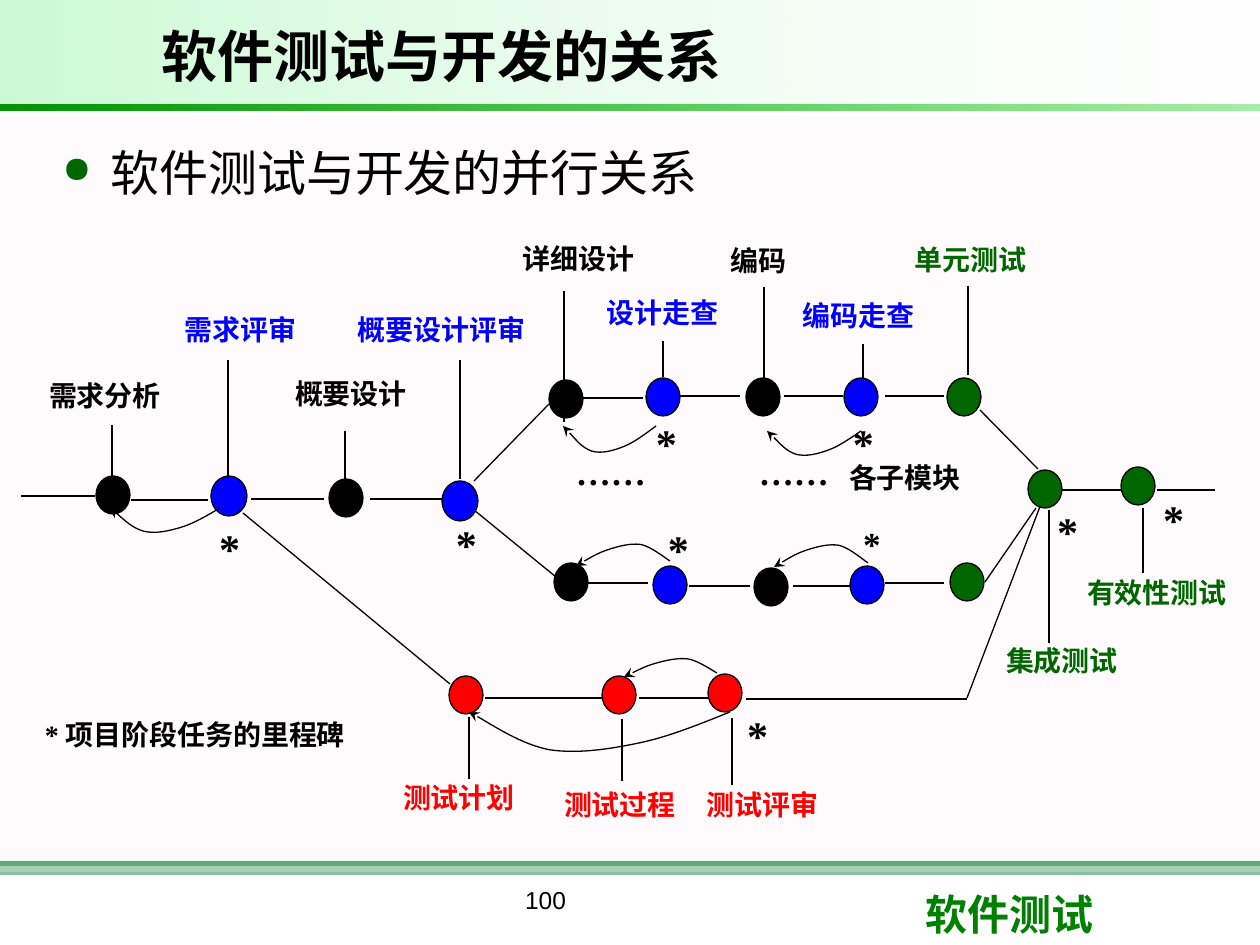
import pptx
import pptx.dml.color
import pptx.enum.shapes
import pptx.enum.text
import pptx.oxml.ns
import pptx.oxml.xmlchemy
import pptx.util

PX = 914400 / 126
COLORS = {
    "black": "000000", "blue": "0000FF", "green": "006600", "red": "FF0000",
    "footer": "008000", "edge": "339966", "panel": "FFF0F5", "white": "FFFFFF",
    "mint": "09E733", "bar_dark": "009200", "bar_light": "00CC00",
}
ALIGN = pptx.enum.text.PP_ALIGN
SHAPE = pptx.enum.shapes.MSO_SHAPE
LABEL = {"name": "Times New Roman", "size": 16, "bold": True}
STAR_SIZE = 24

# Shape of every feedback arc: share of the way along, share of the depth
ARC = [(0, 0), (.12, .3), (.24, .6), (.35, .74), (.46, .88), (.58, 1),
       (.69, .9), (.8, .77), (.95, .15), (1, 0)]

NODES = {
    "black": [(113, 495), (346, 498), (566, 399), (763, 397), (571, 582), (771, 587)],
    "blue": [(229, 496), (460, 501), (663, 397), (861, 397), (670, 585), (867, 585)],
    "green": [(964, 397), (967, 582), (1045, 489), (1138, 486)],
    "red": [(466, 695), (619, 695), (725, 693)],
}
REVIEW_NODES = NODES["blue"][:2]  # slightly larger than the others

HORIZONTALS = [  # x1, x2, y
    (21, 95, 496), (131, 208, 500), (251, 324, 499), (370, 444, 499),
    (581, 643, 398), (680, 740, 396), (784, 843, 396), (885, 944, 396),
    (586, 648, 583), (689, 750, 586), (793, 852, 586), (885, 944, 583),
    (1061, 1123, 490), (1157, 1215, 490),
    (485, 604, 698), (639, 709, 698), (746, 967, 699),
]
VERTICALS = [  # x, y1, y2
    (112, 425, 479), (228, 360, 479), (345, 431, 481), (460, 360, 479),
    (564, 291, 422), (663, 341, 377), (764, 287, 378), (863, 344, 379),
    (968, 286, 375), (1049, 510, 643), (1143, 508, 573),
    (469, 717, 779), (622, 719, 781), (732, 718, 785),
]
DIAGONALS = [
    (474, 481, 549, 404), (474, 510, 556, 577), (980, 410, 1038, 469),
    (985, 582, 1036, 508), (243, 513, 450, 684), (967, 698, 1041, 504),
]
ARCS = [  # tail x, y, tip x, y, depth (negative bulges upward)
    (656, 426, 563, 426, 28), (861, 431, 767, 431, 26),
    (730, 712, 469, 712, 42), (220, 508, 110, 508, 26),
    (670, 561, 576, 566, -20), (868, 563, 774, 567, -21),
    (717, 673, 624, 677, -17),
]
LABELS = {
    "black": [("需求分析", 49, 379), ("概要设计", 295, 377), ("详细设计", 523, 242),
              ("编码", 731, 244), ("各子模块", 849, 461)],
    "blue": [("需求评审", 185, 312), ("概要设计评审", 358, 312),
             ("设计走查", 607, 296), ("编码走查", 803, 299)],
    "green": [("单元测试", 915, 243), ("有效性测试", 1087, 576), ("集成测试", 1006, 644)],
    "red": [("测试计划", 403, 781), ("测试过程", 564, 788), ("测试评审", 707, 788)],
}
STARS = [(656, 418), (456, 519), (219, 522), (853, 418), (668, 523),
         (747, 709), (1057, 505), (1163, 494)]


def px(*lengths):
    return [round(n * PX) for n in lengths]


def rgb(color):
    return pptx.dml.color.RGBColor.from_string(COLORS[color])


def add_xml(parent, tag, **attributes):
    child = pptx.oxml.xmlchemy.OxmlElement(tag)
    for name, value in attributes.items():
        child.set(name, str(value))
    parent.append(child)
    return child


def write(tf, text, fmt, color="black", align=ALIGN.LEFT):
    p = tf.paragraphs[0]
    p.alignment = align
    r = p.add_run()
    r.text = text
    for name, value in fmt.items():
        setattr(r.font, name, pptx.util.Pt(value) if name == "size" else value)
    r.font.color.rgb = rgb(color)
    return p


def add_text(slide, box, text, fmt, color="black", align=ALIGN.LEFT, inset=True):
    tf = slide.shapes.add_textbox(*px(*box)).text_frame
    tf.word_wrap = True
    if not inset:
        for side in ("left", "top", "right", "bottom"):
            setattr(tf, f"margin_{side}", 0)
    return write(tf, text, fmt, color, align)


def add_label(slide, text, x, y, color="black", size=16, width=None):
    width = width or round(len(text) * size * 1.75) + 8
    add_text(slide, (x, y, width, 44), text, {**LABEL, "size": size}, color,
             ALIGN.JUSTIFY, inset=False)


def add_band(slide, top, height, *stops):
    """Full-width band; each stop is (colour, opacity in percent)."""
    sp = slide.shapes.add_shape(SHAPE.RECTANGLE, *px(0, top, 1260, height))
    sp.shadow.inherit = False
    sp.line.fill.background()
    if len(stops) == 1:
        sp.fill.solid()
        targets = [sp.fill.fore_color]
    else:
        sp.fill.gradient()
        sp.fill.gradient_angle = 0
        targets = [stop.color for stop in sp.fill.gradient_stops]
    for target, (color, _) in zip(targets, stops):
        target.rgb = rgb(color)
    clrs = sp.element.spPr.findall(".//" + pptx.oxml.ns.qn("a:srgbClr"))
    for clr, (_, opacity) in zip(clrs, stops):
        add_xml(clr, "a:alpha", val=opacity * 1000)


def outline(sp):
    sp.line.color.rgb = rgb("black")
    sp.line.width = pptx.util.Pt(0.75)


def add_line(slide, x1, y1, x2, y2):
    kind = pptx.enum.shapes.MSO_CONNECTOR.STRAIGHT
    line = slide.shapes.add_connector(kind, *px(x1, y1, x2, y2))
    outline(line)
    add_xml(line.element.spPr, "a:effectLst")


def add_node(slide, x, y, color):
    w, h = (36, 40) if (x, y) in REVIEW_NODES else (34, 38)
    sp = slide.shapes.add_shape(SHAPE.OVAL, *px(x - w / 2, y - h / 2, w, h))
    sp.shadow.inherit = False
    sp.fill.solid()
    sp.fill.fore_color.rgb = rgb(color)
    outline(sp)


def add_arc(slide, x1, y1, x2, y2, depth):
    """Curved feedback arrow, made by joining each three points into a Bézier."""
    curve = ARC if depth > 0 else [(1 - t, d) for t, d in reversed(ARC)]
    points = [px(x1 + (x2 - x1) * t, y1 + (y2 - y1) * t + depth * d) for t, d in curve]
    fb = slide.shapes.build_freeform(*points[0])
    fb.add_line_segments(points[1:], close=False)
    sp = fb.convert_to_shape()
    sp.shadow.inherit = False
    sp.fill.background()
    outline(sp)
    add_xml(sp.element.spPr.get_or_add_ln(), "a:tailEnd", type="stealth")
    segments = sp.element.findall(".//" + pptx.oxml.ns.qn("a:lnTo"))
    curve_xml = segments[0].getparent()
    for i in range(0, len(segments), 3):
        bezier = add_xml(curve_xml, "a:cubicBezTo")
        for segment in segments[i:i + 3]:
            bezier.append(segment[0])
            curve_xml.remove(segment)


def add_title(slide, text):
    title = slide.shapes.title
    title.left, title.top, title.width, title.height = px(149, 10, 878, 90)
    title.text_frame.vertical_anchor = pptx.enum.text.MSO_ANCHOR.MIDDLE
    write(title.text_frame, text, {"name": "Arial", "size": 32, "bold": True})
    title.element.getparent().append(title.element)  # in front of the bands


def add_bullet(slide, text):
    p = add_text(slide, (49, 136, 1179, 90), text, {"name": "Cabin", "size": 28})
    p.space_before = p.space_after = pptx.util.Pt(6)
    pPr = p._p.get_or_add_pPr()
    pPr.set("marL", str(px(49)[0]))
    pPr.set("indent", str(px(-48)[0]))
    add_xml(add_xml(pPr, "a:buClr"), "a:srgbClr", val=COLORS["green"])
    add_xml(pPr, "a:buSzPct", val=75000)
    add_xml(pPr, "a:buChar", char="●")


def main():
    prs = pptx.Presentation()
    prs.slide_width, prs.slide_height = px(1260, 945)
    slide = prs.slides.add_slide(prs.slide_layouts[5])

    add_band(slide, 861, 5, ("footer", 100))
    add_band(slide, 861, 14, ("edge", 60))
    add_band(slide, 116, 756, ("panel", 30))
    add_band(slide, 0, 105, ("mint", 21), ("white", 10))
    add_band(slide, 105, 6, ("bar_dark", 100), ("bar_light", 35))
    add_title(slide, "软件测试与开发的关系")
    add_bullet(slide, "软件测试与开发的并行关系")
    add_text(slide, (913, 882, 299, 63), "软件测试",
             {"name": "Roboto", "size": 24, "bold": True}, "footer")
    add_text(slide, (346, 879, 399, 66), "100", {"name": "Arial", "size": 14},
             align=ALIGN.CENTER)

    for x1, x2, y in HORIZONTALS:
        add_line(slide, x1, y, x2, y)
    for x, y1, y2 in VERTICALS:
        add_line(slide, x, y1, x, y2)
    for ends in DIAGONALS:
        add_line(slide, *ends)
    for color, centres in NODES.items():
        for x, y in centres:
            add_node(slide, x, y, color)
    for arc in ARCS:
        add_arc(slide, *arc)
    for color, labels in LABELS.items():
        for text, x, y in labels:
            add_label(slide, text, x, y, color)
    for x in (576, 759):
        add_label(slide, "……", x, 450, size=20)
    for x, y in STARS:
        add_label(slide, "*", x, y, size=STAR_SIZE, width=30)
    add_label(slide, "*", 863, 522, size=20, width=30)
    add_label(slide, "* 项目阶段任务的里程碑", 45, 718, width=304)
    prs.save("out.pptx")


if __name__ == "__main__":
    main()
